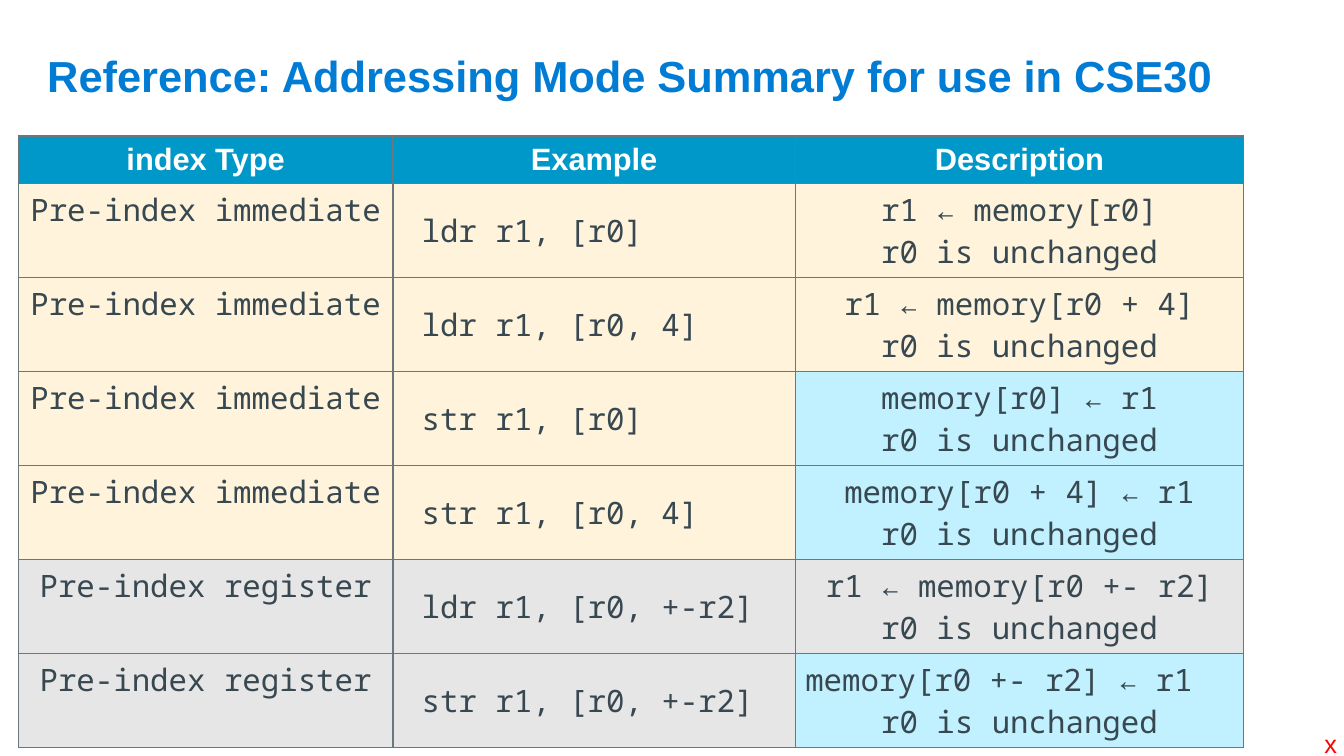
"""Build the addressing mode summary slide."""
from lxml import etree
from pptx import Presentation
from pptx import util as u
from pptx.dml.color import RGBColor
from pptx.enum import text
from pptx.oxml import ns

TITLE = "Reference: Addressing Mode Summary for use in CSE30"
HEADERS = ["index Type", "Example", "Description"]
UNCHANGED = "r0 is unchanged"
MODES = [
    ("Pre-index immediate", "ldr r1, [r0]", "r1 ← memory[r0]"),
    ("Pre-index immediate", "ldr r1, [r0, 4]", "r1 ← memory[r0 + 4]"),
    ("Pre-index immediate", "str r1, [r0]", "memory[r0] ← r1"),
    ("Pre-index immediate", "str r1, [r0, 4]", "memory[r0 + 4] ← r1"),
    ("Pre-index register", "ldr r1, [r0, +-r2]", "r1 ← memory[r0 +- r2]"),
    ("Pre-index register", "str r1, [r0, +-r2]", "memory[r0 +- r2] ← r1"),
]
TYPE_FILLS = {"Pre-index immediate": "FFF4DB", "Pre-index register": "E7E6E6"}
HEADER_FILL, STORE_FILL, BORDER = "0098C9", "C1F0FF", "6B767D"
COLUMN_WIDTHS = [267.84, 287.28, 320.4]
HEADER_HEIGHT, ROW_HEIGHT = 31.2, 67.2
EXAMPLE_INDENT = 20.4
LEFT, CENTER = text.PP_ALIGN.LEFT, text.PP_ALIGN.CENTER
TOP, MIDDLE, BOTTOM = (text.MSO_ANCHOR.TOP, text.MSO_ANCHOR.MIDDLE,
                       text.MSO_ANCHOR.BOTTOM)


def color(value):
    return RGBColor.from_string(value)


def write(frame, lines, size, ink, align=LEFT, name="Arial", bold=False):
    for index, line in enumerate(lines):
        para = frame.paragraphs[0] if index == 0 else frame.add_paragraph()
        para.text = line
        para.alignment = align
        font = para.font
        font.name, font.size, font.bold = name, u.Pt(size), bold
        font.color.rgb = color(ink)


def add_label(page, line, left, top, width, height, size, ink, wrap, anchor, bold):
    box = page.shapes.add_textbox(u.Pt(left), u.Pt(top), u.Pt(width), u.Pt(height))
    box.text_frame.word_wrap = wrap
    box.text_frame.vertical_anchor = anchor
    write(box.text_frame, [line], size, ink, bold=bold)


def style_cell(cell, fill, anchor):
    properties = cell._tc.get_or_add_tcPr()
    for side in ("a:lnL", "a:lnR", "a:lnT", "a:lnB"):
        line = etree.SubElement(properties, ns.qn(side), w=str(u.Pt(1)))
        solid = etree.SubElement(line, ns.qn("a:solidFill"))
        etree.SubElement(solid, ns.qn("a:srgbClr"), val=BORDER)
    cell.fill.solid()
    cell.fill.fore_color.rgb = color(fill)
    cell.vertical_anchor = anchor


def add_modes(page):
    heights = [HEADER_HEIGHT] + [ROW_HEIGHT] * len(MODES)
    table = page.shapes.add_table(
        len(heights), len(HEADERS), u.Pt(12.96), u.Pt(97.2),
        u.Pt(sum(COLUMN_WIDTHS)), u.Pt(sum(heights))).table
    for column, width in zip(table.columns, COLUMN_WIDTHS):
        column.width = u.Pt(width)
    for row, height in zip(table.rows, heights):
        row.height = u.Pt(height)

    for column, header in enumerate(HEADERS):
        cell = table.cell(0, column)
        style_cell(cell, HEADER_FILL, MIDDLE)
        write(cell.text_frame, [header], 22, "FFFFFF", CENTER, bold=True)

    for row, (kind, example, effect) in enumerate(MODES, 1):
        fill = TYPE_FILLS[kind]
        effect_fill = STORE_FILL if example.startswith("str") else fill
        parts = [([kind], fill, TOP, CENTER),
                 ([example], fill, MIDDLE, LEFT),
                 ([effect, UNCHANGED], effect_fill, TOP, CENTER)]
        for column, (lines, shade, anchor, align) in enumerate(parts):
            cell = table.cell(row, column)
            style_cell(cell, shade, anchor)
            write(cell.text_frame, lines, 22, "384851", align, "Noto Sans Mono")
        table.cell(row, 1).margin_left = u.Pt(EXAMPLE_INDENT)
    table.cell(len(MODES), 2).text_frame.paragraphs[0].alignment = LEFT


def main():
    deck = Presentation()
    deck.slide_width, deck.slide_height = u.Pt(960), u.Pt(540)
    page = deck.slides.add_slide(deck.slide_layouts[6])
    add_label(page, TITLE, 26.64, 36, 886.32, 39.6, 31, "007CD5", True, BOTTOM, True)
    add_modes(page)
    add_label(page, "x", 938.88, 516.96, 23.76, 28.8, 18, "FF0000", False, TOP, False)
    deck.save("out.pptx")


if __name__ == "__main__":
    main()
